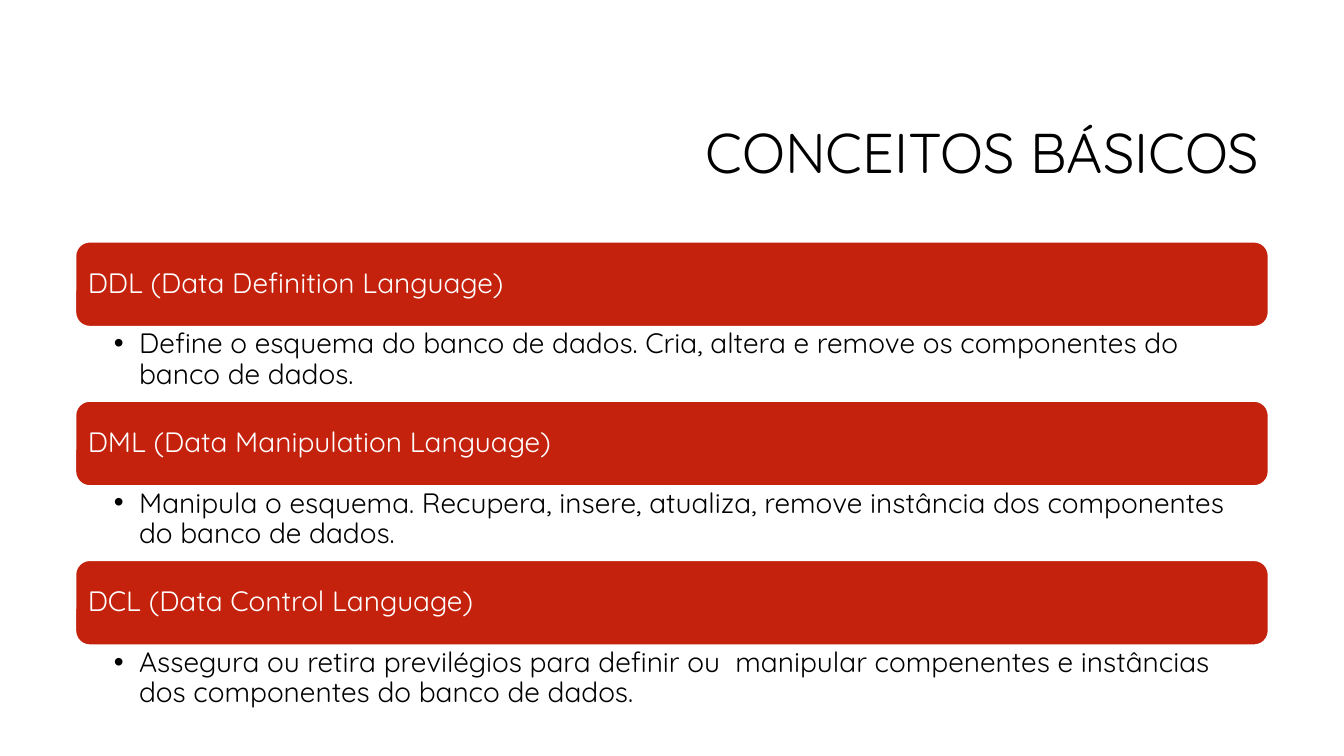
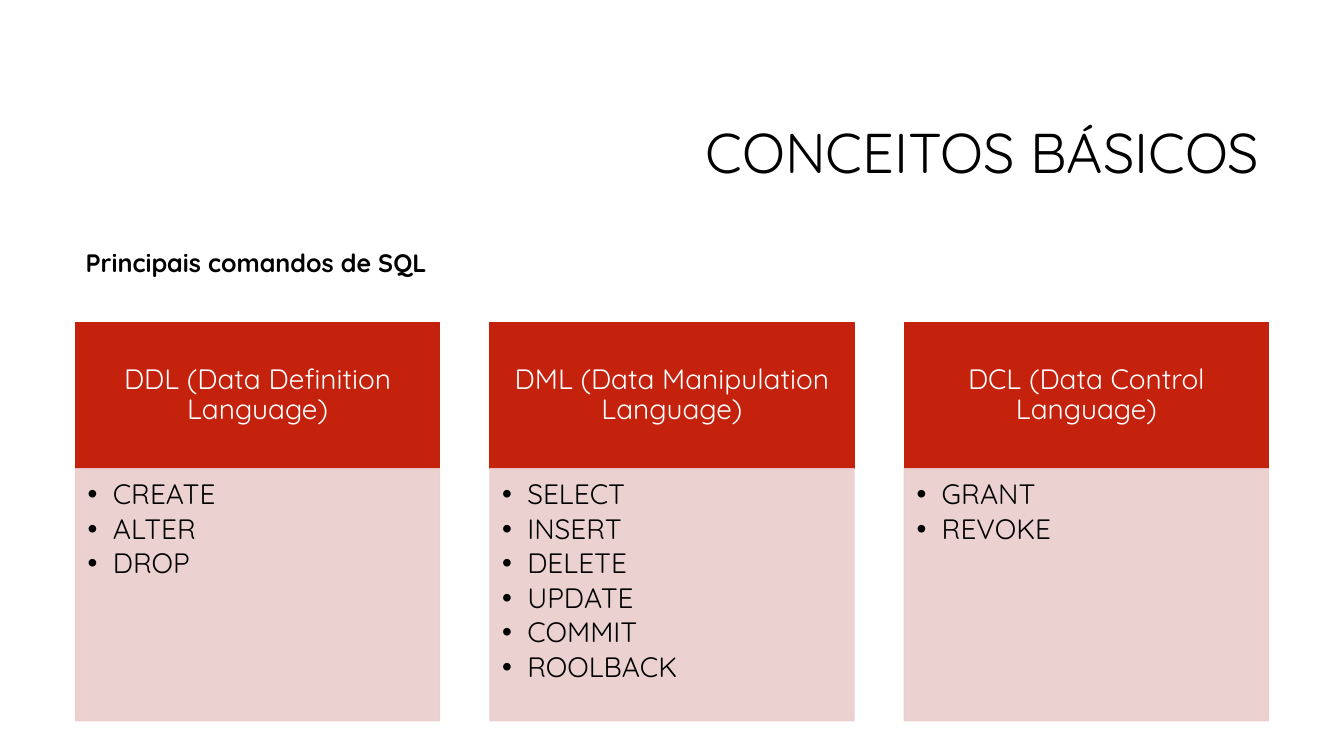
from lxml import etree
from pptx import Presentation
from pptx.dml.color import RGBColor
from pptx.enum.shapes import MSO_SHAPE
from pptx.enum.text import MSO_ANCHOR, PP_ALIGN
from pptx.oxml.ns import qn
from pptx.util import Inches, Pt

RED = RGBColor(0xC4, 0x22, 0x0D)
PINK = RGBColor(0xEA, 0xCD, 0xCC)
BLACK = RGBColor(0x00, 0x00, 0x00)
WHITE = RGBColor(0xFF, 0xFF, 0xFF)

RECTANGLE = MSO_SHAPE.RECTANGLE
ROUNDED = MSO_SHAPE.ROUNDED_RECTANGLE
TOP, MIDDLE = MSO_ANCHOR.TOP, MSO_ANCHOR.MIDDLE
LEFT, CENTER, RIGHT = PP_ALIGN.LEFT, PP_ALIGN.CENTER, PP_ALIGN.RIGHT

FONT = "Quicksand"
BODY_SIZE = 20
MARGIN = 0.75
CONTENT_WIDTH = 11.83
CONTENT_TOP = 2.4
TITLE = "CONCEITOS BÁSICOS"

LANGUAGES = [
    (
        "DDL (Data Definition Language)",
        "Define o esquema do banco de dados. Cria, altera e remove os componentes do banco de dados.",
        ["CREATE", "ALTER", "DROP"],
    ),
    (
        "DML (Data Manipulation Language)",
        "Manipula o esquema. Recupera, insere, atualiza, remove instância dos componentes do banco de dados.",
        ["SELECT", "INSERT", "DELETE", "UPDATE", "COMMIT", "ROOLBACK"],
    ),
    (
        "DCL (Data Control Language)",
        "Assegura ou retira previlégios para definir ou  manipular compenentes e instâncias dos componentes do banco de dados.",
        ["GRANT", "REVOKE"],
    ),
]


class SlideBuilder:
    def __init__(self, deck):
        self.deck = deck
        self.page = None

    def new_page(self):
        self.page = self.deck.slides.add_slide(self.deck.slide_layouts[6])
        self.text(TITLE, (3.17, 0.84, 9.42, 1.41), size=40, align=RIGHT, anchor=MIDDLE)

    def text(self, content, place, **style):
        box = self.page.shapes.add_textbox(*map(Inches, place))
        self.fill_text(box, [content], **style)

    def panel(self, kind, place, fill, line, opacity=100):
        shape = self.page.shapes.add_shape(kind, *map(Inches, place))
        shape.shadow.inherit = False
        shape.fill.solid()
        shape.fill.fore_color.rgb = fill
        shape.line.color.rgb = line
        shape.line.width = Pt(1)
        if opacity < 100:
            for color in shape._element.spPr.iter(qn("a:srgbClr")):
                etree.SubElement(color, qn("a:alpha"), val=str(opacity * 1000))
        return shape

    def fill_text(self, box, lines, size=BODY_SIZE, color=BLACK, bold=False, align=LEFT,
                  anchor=TOP, insets=(0.1, 0.05, 0.1, 0.05), spacing=0.9, after=0, bullet=False):
        frame = box.text_frame
        frame.word_wrap = True
        frame.vertical_anchor = anchor
        (frame.margin_left, frame.margin_top,
         frame.margin_right, frame.margin_bottom) = map(Inches, insets)
        frame.text = "\n".join(lines)
        for para in frame.paragraphs:
            para.alignment = align
            para.line_spacing = spacing
            para.space_after = Pt(after)
            if bullet:
                self.add_bullet(para)
            for span in para.runs:
                span.font.name = FONT
                span.font.size = Pt(size)
                span.font.bold = bold
                span.font.color.rgb = color

    def add_bullet(self, para):
        properties = para._p.get_or_add_pPr()
        indent = Inches(0.25)
        properties.set("marL", str(indent))
        properties.set("indent", str(-indent))
        etree.SubElement(properties, qn("a:buFont"), typeface="Arial")
        etree.SubElement(properties, qn("a:buChar"), char="•")

    def definition(self, top, name, description):
        bar_height, text_height = 0.84, 0.74
        bar = self.panel(ROUNDED, (MARGIN, top, CONTENT_WIDTH, bar_height), RED, WHITE)
        self.fill_text(bar, [name], color=WHITE, anchor=MIDDLE, insets=(0.08,) * 4)
        self.text(description, (MARGIN, top + bar_height, CONTENT_WIDTH, text_height),
                  insets=(0.38, 0.03, 0.16, 0.03), bullet=True)

    def command_card(self, left, width, name, commands):
        top, header_height, list_height = 3.2, 1.45, 2.5
        header = self.panel(RECTANGLE, (left, top, width, header_height), RED, RED)
        self.fill_text(header, [name], color=WHITE, align=CENTER, anchor=MIDDLE,
                       insets=(0.16, 0.09, 0.16, 0.09))
        body = self.panel(RECTANGLE, (left, top + header_height, width, list_height),
                          PINK, PINK, opacity=90)
        self.fill_text(body, commands, insets=(0.12, 0.12, 0.16, 0.17), after=3, bullet=True)


def definitions_page(builder):
    builder.new_page()
    row_step = 1.58
    for row, (name, description, _) in enumerate(LANGUAGES):
        builder.definition(CONTENT_TOP + row * row_step, name, description)


def commands_page(builder):
    builder.new_page()
    gap = 0.5
    count = len(LANGUAGES)
    width = (CONTENT_WIDTH - gap * (count - 1)) / count
    for column, (name, _, commands) in enumerate(LANGUAGES):
        builder.command_card(MARGIN + column * (width + gap), width, name, commands)
    builder.text("Principais comandos de SQL", (MARGIN, CONTENT_TOP, 3.68, 0.4),
                 size=18, bold=True, spacing=1.0)


def main():
    deck = Presentation()
    deck.slide_width = Inches(13.33)
    deck.slide_height = Inches(7.5)
    builder = SlideBuilder(deck)
    definitions_page(builder)
    commands_page(builder)
    deck.save("out.pptx")


if __name__ == "__main__":
    main()
